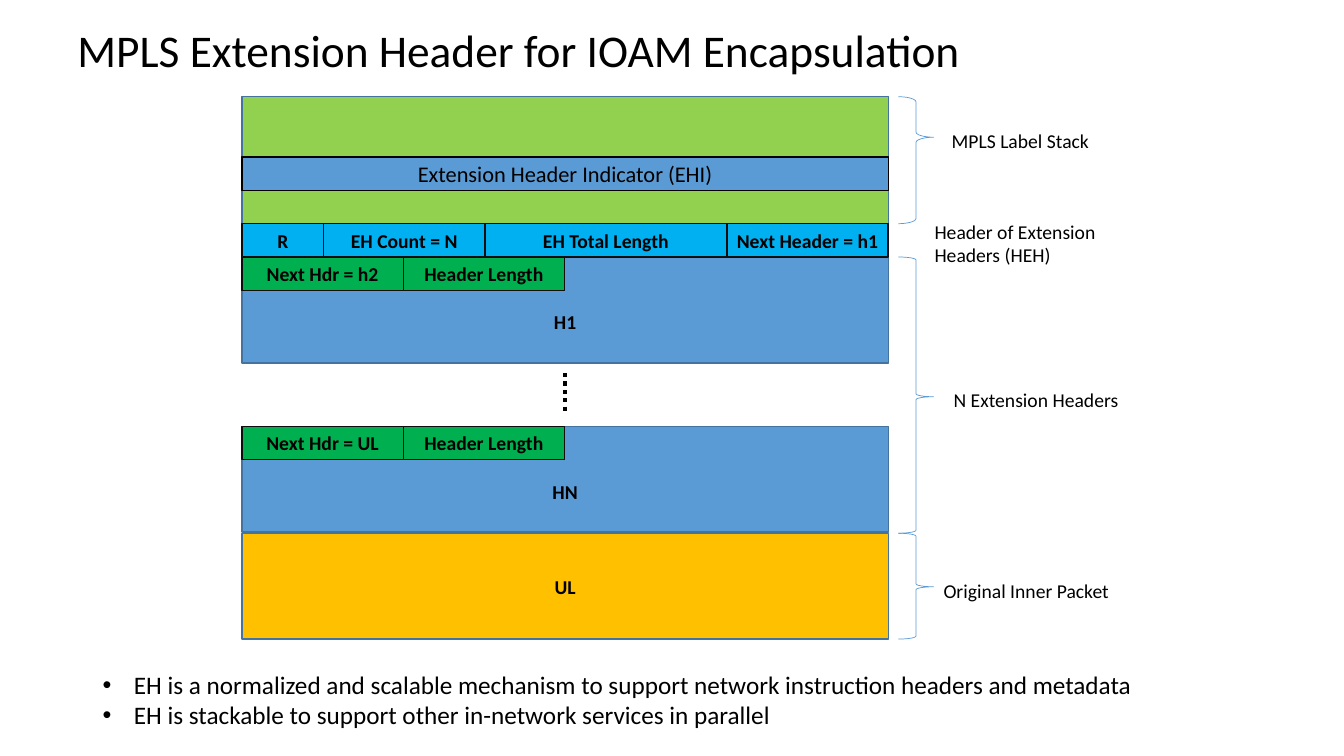
from dataclasses import dataclass

from lxml import etree
from pptx import Presentation
from pptx.dml.color import RGBColor
from pptx.enum.dml import MSO_LINE
from pptx.enum.shapes import MSO_CONNECTOR, MSO_SHAPE
from pptx.enum.text import MSO_ANCHOR, PP_ALIGN
from pptx.oxml.ns import qn
from pptx.util import Inches, Pt

RECTANGLE, BRACE = MSO_SHAPE.RECTANGLE, MSO_SHAPE.RIGHT_BRACE
STRAIGHT, DOTTED = MSO_CONNECTOR.STRAIGHT, MSO_LINE.ROUND_DOT
LEFT, CENTER = PP_ALIGN.LEFT, PP_ALIGN.CENTER
TOP, MIDDLE = MSO_ANCHOR.TOP, MSO_ANCHOR.MIDDLE


@dataclass(frozen=True)
class Theme:
    """Colours, font and type sizes of the slide."""
    font: str = "Calibri"
    text: str = "000000"
    outline: str = "43739E"
    cell_outline: str = "0D0D0D"
    header: str = "5B9BD5"
    label_stack: str = "92D050"
    heh: str = "00B0F0"
    eh_field: str = "00B050"
    payload: str = "FFC000"
    title_size: float = 32.4
    bullet_size: float = 18
    indicator_size: float = 16
    label_size: float = 14


def write_text(frame, text, theme, size, bold=False, align=LEFT, anchor=TOP,
               wrap=True, bullet=False, spacing=None):
    """Fill a text frame, one paragraph for each line of text."""
    frame.word_wrap = wrap
    frame.vertical_anchor = anchor
    for index, line in enumerate(text.split("\n")):
        paragraph = frame.add_paragraph() if index else frame.paragraphs[0]
        paragraph.alignment = align
        if spacing:
            paragraph.line_spacing = spacing
        run = paragraph.add_run()
        run.text = line
        run.font.name = theme.font
        run.font.size = Pt(size)
        run.font.bold = bold
        run.font.color.rgb = RGBColor.from_string(theme.text)
        if bullet:
            properties = paragraph._p.get_or_add_pPr()
            properties.set("marL", str(Inches(0.31)))
            properties.set("indent", str(Inches(-0.31)))
            etree.SubElement(properties, qn("a:buFont"), typeface="Arial")
            etree.SubElement(properties, qn("a:buChar"), char="•")


class PacketSlide:
    """Hold the theme and the current slide, and draw its elements."""

    def __init__(self, slide, theme):
        """Keep the slide and the theme."""
        self.shapes = slide.shapes
        self.theme = theme

    def block(self, left, top, width, height, fill, outline, text="",
              size=None, bold=True, top_inset=0.05):
        """Draw a filled rectangle with a centred label."""
        block = self.shapes.add_shape(
            RECTANGLE, Inches(left), Inches(top), Inches(width), Inches(height))
        block.shadow.inherit = False
        block.fill.solid()
        block.fill.fore_color.rgb = RGBColor.from_string(fill)
        block.line.color.rgb = RGBColor.from_string(outline)
        block.line.width = Pt(1)
        block.text_frame.margin_top = Inches(top_inset)
        if text:
            write_text(block.text_frame, text, self.theme,
                       size or self.theme.label_size, bold=bold,
                       align=CENTER, anchor=MIDDLE)

    def field_row(self, left, top, height, fill, fields):
        """Draw header fields side by side from (label, width) pairs."""
        for label, width in fields:
            self.block(left, top, width, height, fill,
                       self.theme.cell_outline, label)
            left += width

    def brace(self, left, top, width, height, curl, tip):
        """Draw a right brace."""
        brace = self.shapes.add_shape(
            BRACE, Inches(left), Inches(top), Inches(width), Inches(height))
        brace.shadow.inherit = False
        brace.fill.background()
        brace.line.color.rgb = RGBColor.from_string(self.theme.header)
        brace.line.width = Pt(0.5)
        brace.adjustments[0], brace.adjustments[1] = curl, tip

    def text(self, left, top, width, height, text, size, **text_format):
        """Place a text box."""
        box = self.shapes.add_textbox(
            Inches(left), Inches(top), Inches(width), Inches(height))
        write_text(box.text_frame, text, self.theme, size, **text_format)

    def dotted_line(self, x, top, bottom):
        """Draw a vertical dotted line for the omitted headers."""
        line = self.shapes.add_connector(
            STRAIGHT, Inches(x), Inches(top), Inches(x), Inches(bottom))
        line.line.color.rgb = RGBColor.from_string(self.theme.text)
        line.line.width = Pt(3)
        line.line.dash_style = DOTTED
        etree.SubElement(line._element.spPr, qn("a:effectLst"))


def build():
    """Build the packet layout slide and save it."""
    deck = Presentation()
    deck.slide_width, deck.slide_height = Inches(13.33), Inches(7.5)
    theme = Theme()
    page = PacketSlide(deck.slides.add_slide(deck.slide_layouts[6]), theme)

    left, width = 2.4, 6.41
    row, body = 0.33, 1.05
    stack_top, heh_top, h1_top, hn_top, ul_top = 0.96, 2.22, 2.55, 4.23, 5.29
    packet_end = ul_top + body
    field = 1.6

    page.text(0.67, 0.32, 12.08, 0.41, "MPLS Extension Header for IOAM Encapsulation",
              theme.title_size, anchor=MIDDLE, spacing=0.9)

    page.block(left, stack_top, width, heh_top - stack_top,
               theme.label_stack, theme.outline)
    page.block(left, 1.56, width, row, theme.header, theme.text,
               "Extension Header Indicator (EHI)", theme.indicator_size, bold=False)

    for name, next_header, top in (("H1", "h2", h1_top), ("HN", "UL", hn_top)):
        page.block(left, top, width, body, theme.header, theme.outline,
                   name, top_inset=0.29)
        page.field_row(left, top, row, theme.eh_field,
                       [(f"Next Hdr = {next_header}", field), ("Header Length", field)])
    page.field_row(left, heh_top, row, theme.heh,
                   [("R", 0.81), ("EH Count = N", field),
                    ("EH Total Length", 2.4), ("Next Header = h1", field)])
    page.block(left, ul_top, width, body, theme.payload, theme.outline, "UL")
    page.dotted_line(left + width / 2, 3.7, 4.11)

    for top, bottom, curl, tip in ((stack_top, heh_top, 0.146, 0.319),
                                   (h1_top, ul_top, 0.083, 0.506),
                                   (ul_top, packet_end, 0.083, 0.506)):
        page.brace(8.91, top, 0.35, bottom - top, curl, tip)

    for label, x, y, label_width in (("MPLS Label Stack", 9.34, 1.23, 1.58),
                                     ("N Extension Headers", 9.36, 3.8, 1.85),
                                     ("Original Inner Packet", 9.26, 5.69, 1.86)):
        page.text(x, y, label_width, 0.34, label, theme.label_size, wrap=False)
    page.text(9.17, 2.13, 1.91, 0.57, "Header of Extension Headers (HEH)",
              theme.label_size)

    page.text(0.92, 6.59, 10.53, 0.71,
              "EH is a normalized and scalable mechanism to support network "
              "instruction headers and metadata\n"
              "EH is stackable to support other in-network services in parallel",
              theme.bullet_size, wrap=False, bullet=True)

    deck.save("out.pptx")


build()
